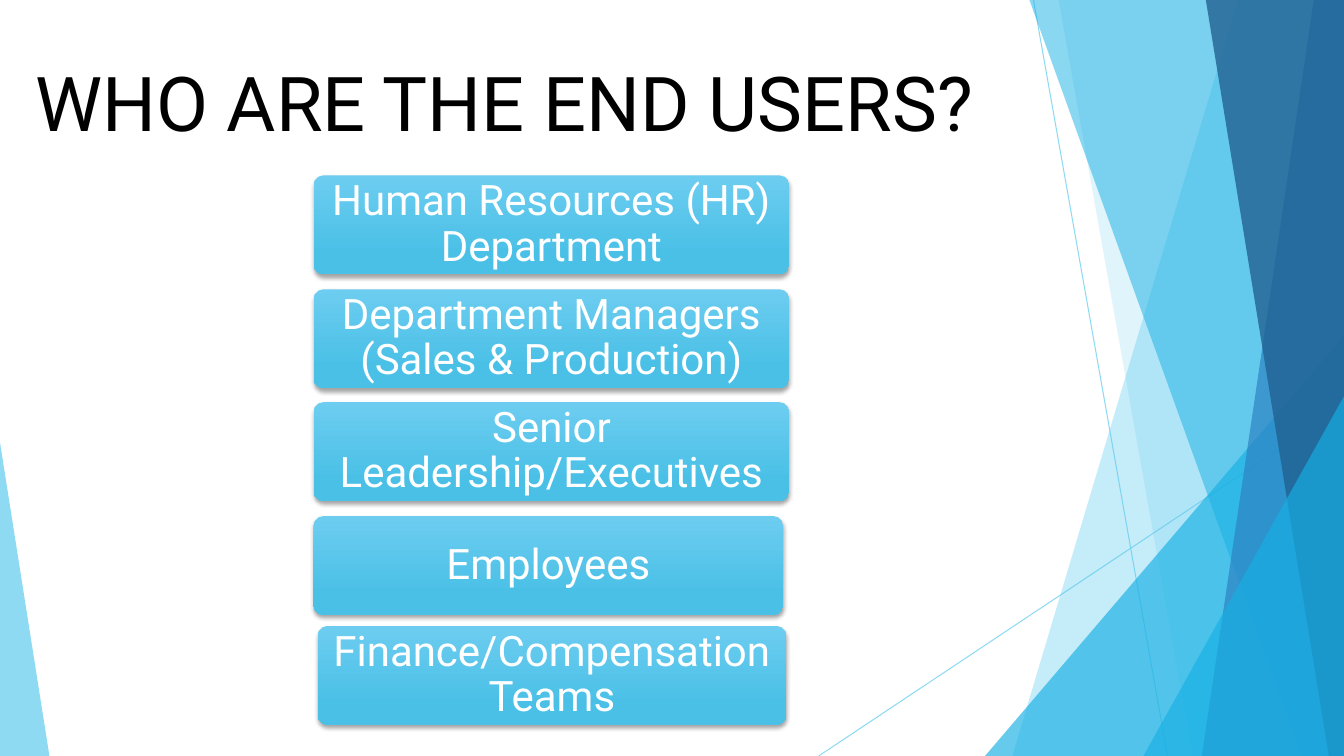
from dataclasses import dataclass

from lxml.etree import SubElement
from pptx import Presentation
from pptx.dml.color import RGBColor
from pptx.enum.shapes import MSO_CONNECTOR, MSO_SHAPE
from pptx.enum.text import MSO_ANCHOR, MSO_AUTO_SIZE, PP_ALIGN
from pptx.oxml.ns import qn
from pptx.util import Inches, Pt

WIDTH, HEIGHT = 13.33, 7.5


@dataclass(frozen=True)
class Theme:
    font: str = "Roboto"
    title_size: int = 54
    card_size: int = 30
    title: str = "000000"
    card_text: str = "FFFFFF"
    card_top: str = "6CCDF0"
    card_bottom: str = "4BC0E6"
    shadow: str = "000000"
    sky: str = "5FCBEF"
    cyan: str = "17B0E4"
    blue: str = "2E83C3"
    navy: str = "226292"


THEME = Theme()


@dataclass(frozen=True)
class Ray:
    """A thin line across the right side."""
    start: tuple[float, float]
    end: tuple[float, float]


@dataclass(frozen=True)
class Band:
    """A full-height band from its left edge to the slide's right edge."""
    top_x: float
    bottom_x: float
    color: str
    opacity: int


@dataclass(frozen=True)
class Wedge:
    """A right triangle standing on the bottom edge."""
    left: float
    top: float
    width: float
    apex: float
    color: str
    opacity: int


@dataclass(frozen=True)
class Card:
    text: str
    left: float
    top: float
    width: float


RAYS = [Ray((10.25, 0), (11.58, HEIGHT)), Ray((WIDTH, 4.03), (8.12, HEIGHT))]

FACETS = [
    Band(12.28, 10.04, THEME.sky, 36),
    Band(10.5, 11.83, THEME.sky, 20),
    Wedge(9.77, 3.33, 3.56, 1, THEME.cyan, 66),
    Band(10.21, 12.91, THEME.cyan, 50),
    Band(13.03, 11.92, THEME.blue, 70),
    Band(11.96, 13.18, THEME.navy, 80),
    Wedge(11.34, 3.93, 1.99, 1, THEME.cyan, 66),
    Wedge(0, 4.39, 0.49, 0, THEME.sky, 70),
]

CARD_HEIGHT = 0.98
CARDS = [
    Card("Human Resources (HR) Department", 3.11, 1.74, 4.72),
    Card("Department Managers (Sales & Production)", 3.11, 2.87, 4.72),
    Card("Senior Leadership/Executives", 3.11, 3.99, 4.72),
    Card("Employees", 3.11, 5.12, 4.66),
    Card("Finance/Compensation Teams", 3.15, 6.21, 4.65),
]


def rgb(color: str) -> RGBColor:
    return RGBColor.from_string(color)


def set_opacity(element, percent: int) -> None:
    for clr in element.iter(qn("a:srgbClr")):
        SubElement(clr, qn("a:alpha"), val=str(percent * 1000))


def add_ray(slide, ray: Ray) -> None:
    line = slide.shapes.add_connector(
        MSO_CONNECTOR.STRAIGHT, *map(Inches, ray.start + ray.end))
    line.line.color.rgb = rgb(THEME.sky)
    line.line.width = Pt(0.75)
    sp_pr = line._element.spPr
    set_opacity(sp_pr, 70)
    SubElement(sp_pr, qn("a:effectLst"))


def add_facet(slide, facet: Band | Wedge) -> None:
    if isinstance(facet, Band):
        corners = [(WIDTH, 0), (WIDTH, HEIGHT), (facet.bottom_x, HEIGHT)]
        builder = slide.shapes.build_freeform(Inches(facet.top_x), 0)
        builder.add_line_segments([(Inches(x), Inches(y)) for x, y in corners])
        sp = builder.convert_to_shape()
    else:
        sp = slide.shapes.add_shape(
            MSO_SHAPE.ISOSCELES_TRIANGLE, Inches(facet.left), Inches(facet.top),
            Inches(facet.width), Inches(HEIGHT - facet.top))
        sp.adjustments[0] = facet.apex
    sp.shadow.inherit = False
    sp.line.fill.background()
    sp.fill.solid()
    sp.fill.fore_color.rgb = rgb(facet.color)
    set_opacity(sp._element.spPr, facet.opacity)


def style_text(p, size: int, color: str) -> None:
    p.font.name = THEME.font
    p.font.size = Pt(size)
    p.font.color.rgb = rgb(color)


def add_title(slide, text: str) -> None:
    box = slide.shapes.add_textbox(
        Inches(0.25), Inches(0.51), Inches(9.7), Inches(1.01))
    tf = box.text_frame
    tf.word_wrap = True
    tf.auto_size = MSO_AUTO_SIZE.SHAPE_TO_FIT_TEXT
    tf.text = text
    style_text(tf.paragraphs[0], THEME.title_size, THEME.title)


def add_card(slide, card: Card) -> None:
    sp = slide.shapes.add_shape(
        MSO_SHAPE.ROUNDED_RECTANGLE, Inches(card.left), Inches(card.top),
        Inches(card.width), Inches(CARD_HEIGHT))
    sp.adjustments[0] = 0.1
    sp.line.fill.background()

    # Vertical gradient
    sp.fill.gradient()
    sp.fill.gradient_angle = 270
    stops = [(0, THEME.card_top), (0.78, THEME.card_bottom)]
    for stop, (position, color) in zip(sp.fill.gradient_stops, stops):
        stop.position = position
        stop.color.rgb = rgb(color)

    # Soft shadow below the card
    sp.shadow.inherit = False
    effects = sp._element.spPr.find(qn("a:effectLst"))
    shadow = SubElement(effects, qn("a:outerShdw"), blurRad=str(Pt(3)),
                        dist=str(Pt(2)), dir="5400000", rotWithShape="0")
    SubElement(shadow, qn("a:srgbClr"), val=THEME.shadow)
    set_opacity(shadow, 35)

    # Label
    tf = sp.text_frame
    tf.word_wrap = True
    tf.vertical_anchor = MSO_ANCHOR.MIDDLE
    tf.margin_left = tf.margin_right = Inches(0.02)
    tf.margin_top = tf.margin_bottom = Inches(0.02)
    tf.text = card.text
    p = tf.paragraphs[0]
    p.alignment = PP_ALIGN.CENTER
    p.line_spacing = 0.9
    style_text(p, THEME.card_size, THEME.card_text)


def main() -> None:
    prs = Presentation()
    prs.slide_width, prs.slide_height = Inches(WIDTH), Inches(HEIGHT)
    slide = prs.slides.add_slide(prs.slide_layouts[6])

    # Background decoration
    for ray in RAYS:
        add_ray(slide, ray)
    for facet in FACETS:
        add_facet(slide, facet)

    # Content
    add_title(slide, "WHO ARE THE END USERS?")
    for card in CARDS:
        add_card(slide, card)

    prs.save("out.pptx")


if __name__ == "__main__":
    main()
